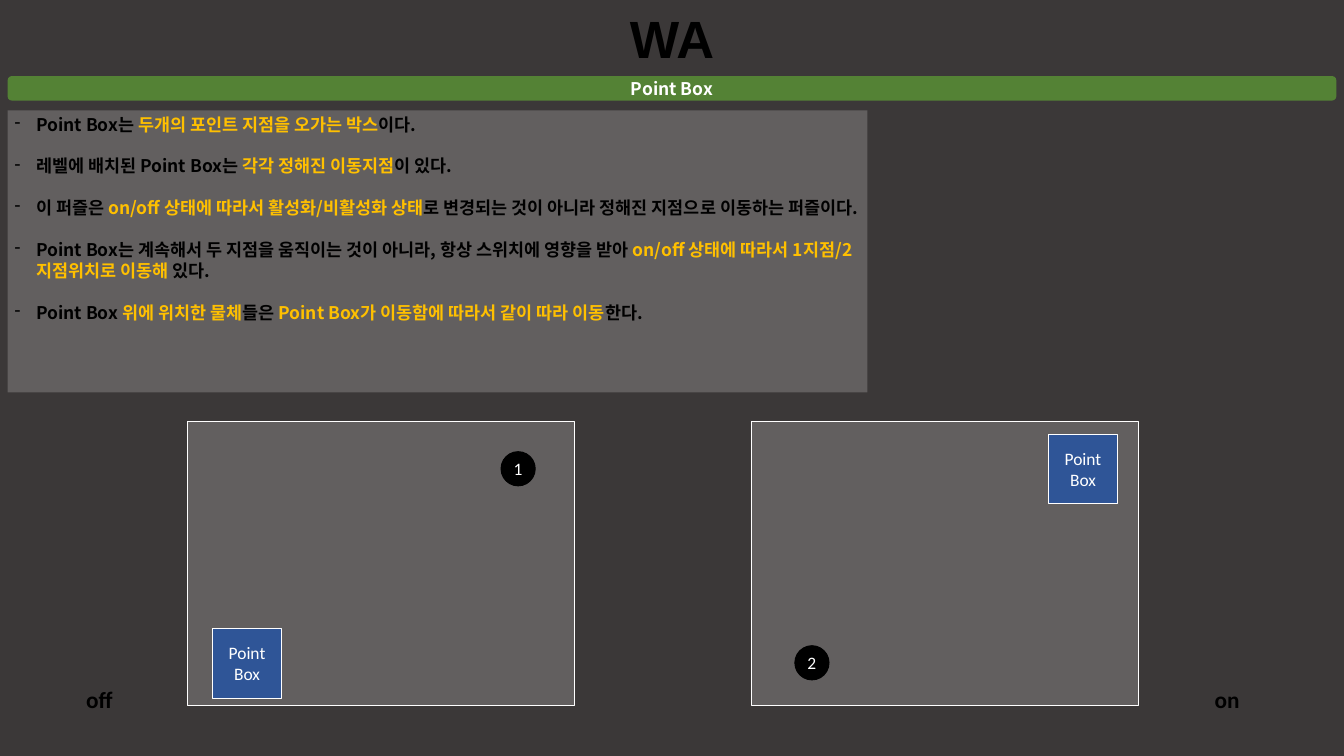
from lxml import etree
from pptx import Presentation
from pptx.dml.color import RGBColor
from pptx.enum.shapes import MSO_SHAPE
from pptx.enum.text import MSO_ANCHOR, PP_ALIGN
from pptx.oxml.ns import qn
from pptx.util import Inches, Pt

RECT, ROUNDED, OVAL = MSO_SHAPE.RECTANGLE, MSO_SHAPE.ROUNDED_RECTANGLE, MSO_SHAPE.OVAL
CENTER, LEFT = PP_ALIGN.CENTER, PP_ALIGN.LEFT
TOP, MIDDLE = MSO_ANCHOR.TOP, MSO_ANCHOR.MIDDLE

WIDTH, HEIGHT = 19.26, 10.83
MARGIN = 0.11
KOREAN, LATIN = "Noto Sans CJK KR", "Calibri"
BLACK, WHITE, GOLD = "000000", "FFFFFF", "FFC000"
GREEN, BLUE, BACKGROUND = "548235", "2F5597", "3B3838"
ROOM_SIZE = (5.55, 4.07)
CUBE, DOT = 1, 0.49

# Each rule is a list of spans; odd spans are highlighted
RULES = [
    ["Point Box는 ", "두개의 포인트 지점을 오가는 박스", "이다."],
    ["레벨에 배치된 Point Box는 ", "각각 정해진 이동지점", "이 있다."],
    ["이 퍼즐은 ", "on/off 상태에 따라서 활성화/비활성화 상태",
     "로 변경되는 것이 아니라 정해진 지점으로 이동하는 퍼즐이다."],
    ["Point Box는 계속해서 두 지점을 움직이는 것이 아니라, 항상 스위치에 영향을 받아 ",
     "on/off 상태에 따라서 1지점/2지점위치로 이동해 ", "있다."],
    ["Point Box ", "위에 위치한 물체", "들은 ",
     "Point Box가 이동함에 따라서 같이 따라 이동", "한다."],
]


def paint(color_format, color):
    color_format.rgb = RGBColor.from_string(color)


def fill_solid(fill, color, opacity=100):
    fill.solid()
    paint(fill.fore_color, color)
    if opacity < 100:
        alpha = etree.SubElement(fill._xPr.find(qn("a:solidFill"))[0], qn("a:alpha"))
        alpha.set("val", str(opacity * 1000))


def style(para, font_name, size, color, bold=False, align=CENTER):
    para.alignment = align
    font = para.font
    font.name, font.size, font.bold = font_name, Pt(size), bold
    paint(font.color, color)
    etree.SubElement(font._element, qn("a:ea")).set("typeface", font_name)


def add_box(page, kind, box, color, opacity=100, line=None):
    shape = page.shapes.add_shape(kind, *map(Inches, box))
    shape.shadow.inherit = False
    fill_solid(shape.fill, color, opacity)
    if line:
        fill_solid(shape.line.fill, line)
        shape.line.width = Pt(1)
    else:
        shape.line.fill.background()
    return shape


def write(shape, lines, font_name, size, color, bold=False, anchor=MIDDLE, wrap=True):
    frame = shape.text_frame
    frame.word_wrap, frame.vertical_anchor = wrap, anchor
    frame.text = "\n".join(lines)
    for para in frame.paragraphs:
        style(para, font_name, size, color, bold)


def add_label(page, box, text, font_name, size, wrap=True):
    label = page.shapes.add_textbox(*map(Inches, box))
    write(label, [text], font_name, size, BLACK, True, TOP, wrap)


def add_header(page, box):
    left, top, width, height = box
    title_width = 1.47
    add_label(page, (left + (width - title_width) / 2, 0.04, title_width, 1.01),
              "WA", "Arial", 54, wrap=False)
    bar = add_box(page, ROUNDED, box, GREEN)
    write(bar, ["Point Box"], KOREAN, 18, WHITE, True)


def add_rules(page, box):
    frame = add_box(page, RECT, box, WHITE, 20).text_frame
    frame.word_wrap, frame.vertical_anchor = True, TOP
    for index, rule in enumerate(RULES):
        para = frame.paragraphs[0] if index == 0 else frame.add_paragraph()
        para.space_after = Pt(21.5)
        # Dash bullet with a hanging indent
        properties = para._p.get_or_add_pPr()
        properties.set("marL", str(Inches(0.31)))
        properties.set("indent", str(-Inches(0.31)))
        etree.SubElement(properties, qn("a:buChar")).set("char", "-")
        style(para, KOREAN, 18, BLACK, True, LEFT)
        for position, text in enumerate(rule):
            span = para.add_run()
            span.text = text
            if position % 2:
                paint(span.font.color, GOLD)


def add_room(page, box, number, dot_offset, cube_offset):
    left, top = box[:2]
    add_box(page, RECT, box, WHITE, 20, WHITE)
    parts = [(OVAL, dot_offset, DOT, BLACK, BLACK, [number]),
             (RECT, cube_offset, CUBE, BLUE, WHITE, ["Point", "Box"])]
    for kind, (across, down), size, color, line, lines in parts:
        part = add_box(page, kind, (left + across, top + down, size, size), color, line=line)
        write(part, lines, LATIN, 18, WHITE)


def main():
    deck = Presentation()
    deck.slide_width, deck.slide_height = Inches(WIDTH), Inches(HEIGHT)
    page = deck.slides.add_slide(deck.slide_layouts[6])
    fill_solid(page.background.fill, BACKGROUND)

    add_header(page, (MARGIN, 1.09, WIDTH - 2 * MARGIN, 0.35))
    add_rules(page, (MARGIN, 1.58, 12.32, 4.04))

    # Switch states below the rules
    for text, left in (("off", 1), ("on", 17.16)):
        add_label(page, (left, 9.77, 0.85, 0.5), text, LATIN, 24)
    add_room(page, (2.68, 6.04, *ROOM_SIZE), "1", (4.5, 0.43), (0.36, 2.96))
    add_room(page, (10.77, 6.04, *ROOM_SIZE), "2", (0.62, 3.21), (4.25, 0.18))
    deck.save("out.pptx")


if __name__ == "__main__":
    main()
